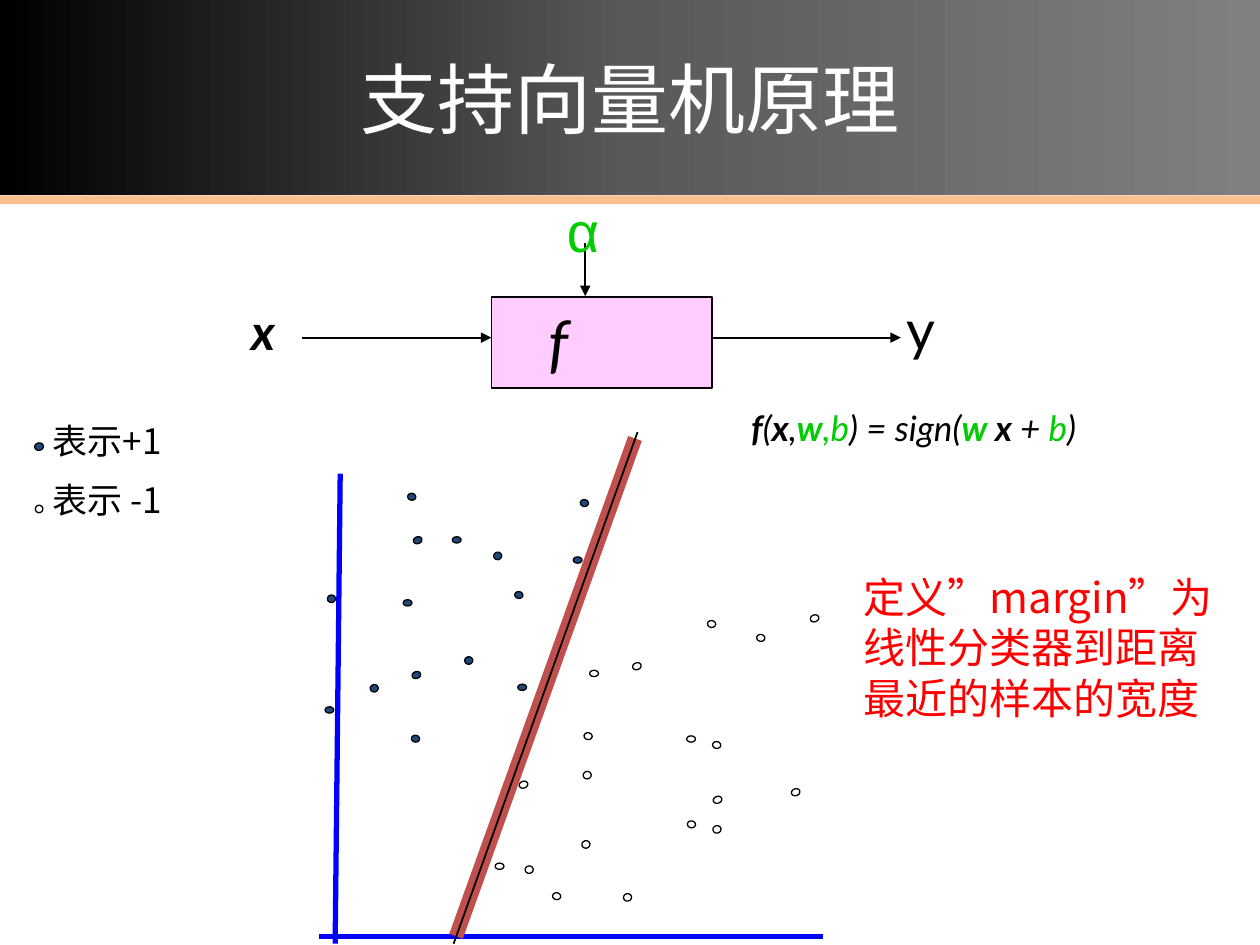
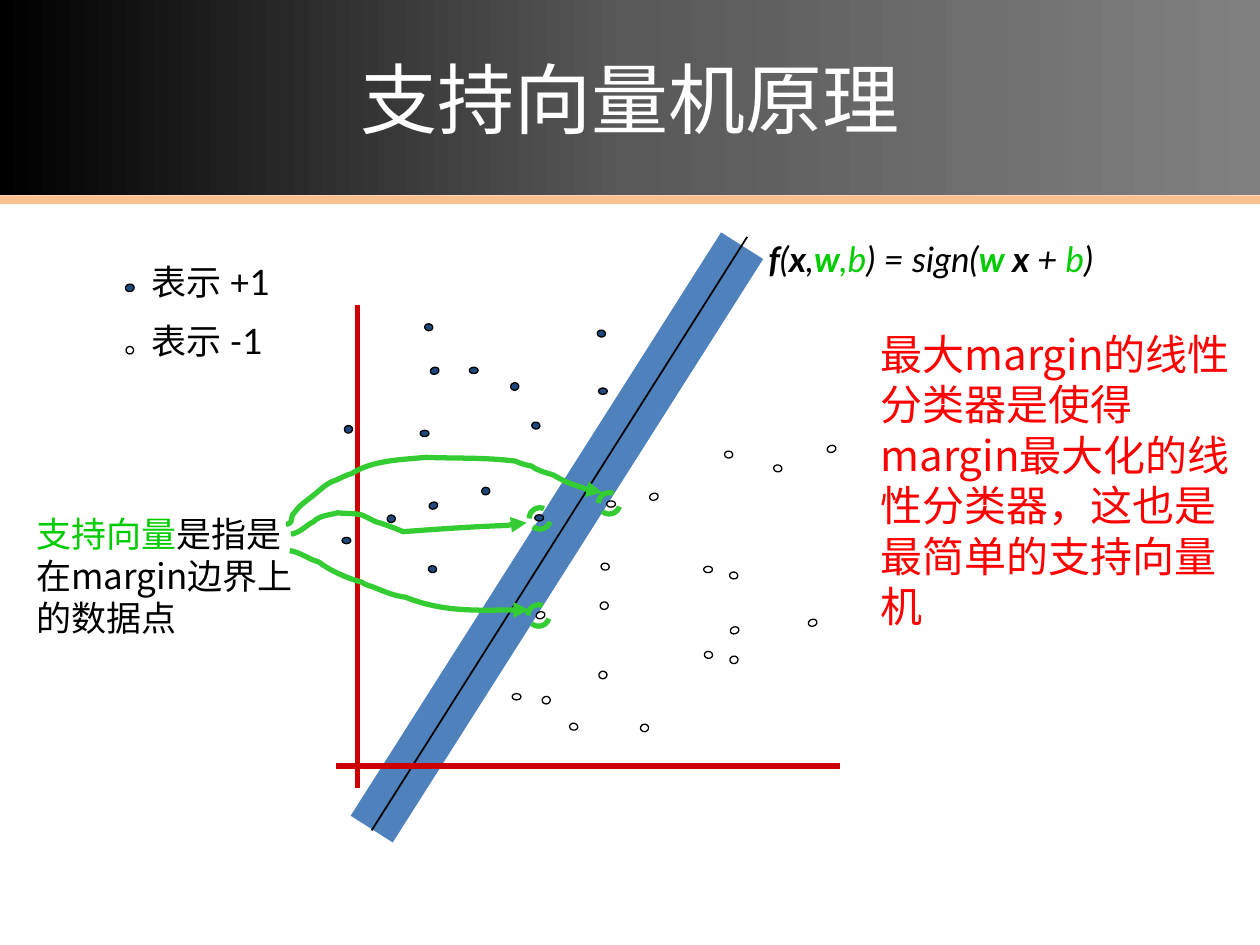
from lxml import etree
from pptx import Presentation
from pptx.dml.color import RGBColor
from pptx.enum.dml import MSO_LINE
from pptx.enum.shapes import MSO_CONNECTOR, MSO_SHAPE
from pptx.enum.text import MSO_ANCHOR, PP_ALIGN
from pptx.oxml.ns import qn
from pptx.util import Inches, Pt

COLORS = {
    "black": "000000", "dark": "595959", "gray": "808080", "white": "FFFFFF",
    "peach": "FAC090", "pink": "FFCCFF", "navy": "1F497D", "blue": "0000FF",
    "brick": "C0504D", "steel": "4F81BD", "crimson": "CC0000", "red": "FF0000",
    "green": "00CC00", "lime": "33CC33",
}
LATIN, CHINESE, GREEK = "Lato", "Noto Sans CJK SC", "Arial"
COLUMNS, ROWS = 100, 75
TITLE = "支持向量机原理"

SAMPLES = [
    (0, 0.7, 0.5,
     [(25.8, 56.1), (35.9, 42.6), (41.1, 54.3), (32, 47.6)],
     [(39.3, 68.5), (46.8, 53.2), (54.5, 58.4)]),
    (341.4, 0.7, 0.55,
     [(32.8, 42.6), (32.7, 53.3)],
     [(41.2, 62), (64.3, 48.8), (56.6, 63.2), (50.2, 52.6), (62.8, 62.6)]),
    (98.3, 0.55, 0.65,
     [(40.9, 46.9), (32.7, 58.3), (46.1, 39.6), (32.4, 39.1)],
     [(43.9, 70.8), (56.6, 58.8), (46.4, 58.1), (60.1, 50.3), (56.2, 49.2),
      (54.6, 65.1)]),
    (79.6, 0.6, 0.65,
     [(36.9, 52.1), (29.4, 54.3), (39.2, 43.8), (26, 47.2)],
     [(49.5, 70.9), (46.2, 66.7), (46.3, 61.2), (41.7, 68.7), (56.6, 65.5)]),
]

FORMULA = [
    ("f", {"bold": True}), ("(", {}), ("x", {"bold": True}), (",", {}),
    ("w", {"bold": True, "color": "green"}), (",b", {"color": "green"}),
    (") = sign(", {}), ("w", {"bold": True, "color": "green"}),
    (" x ", {"bold": True}), ("+ ", {}), ("b", {"color": "green"}), (")", {}),
]

SUPPORT_ARROWS = [
    [(23.1, 42.4),
     (23.8, 42.3), (24.3, 41.7), (24.9, 41.4),
     (25.4, 40.9), (26.1, 40.9), (26.8, 40.7),
     (27.7, 40.8), (28.1, 40.7), (28.8, 40.9),
     (28.8, 40.9), (29.8, 41.4), (29.8, 41.4),
     (30.5, 41.6), (31.3, 41.9), (32, 42.2),
     (34.7, 42), (37.5, 41.8), (40.3, 41.7),
     (40.8, 41.6), (41.3, 41.5), (41.8, 41.5)],
    [(22.7, 41.6),
     (22.8, 41.6), (23, 41.6), (23, 41.5),
     (23.2, 41.4), (23.1, 41.1), (23.2, 40.9),
     (23.3, 40.7), (23.5, 40.6), (23.6, 40.4),
     (23.8, 40.1), (24.8, 39.4), (24.9, 39.3),
     (25.5, 38.8), (26, 38.3), (26.7, 38.1),
     (27.1, 37.9), (27.5, 37.7), (27.9, 37.6),
     (29.6, 36.5), (31.9, 36.5), (33.8, 36.3),
     (36.2, 36.4), (38.5, 36.3), (40.9, 36.6),
     (41.3, 36.8), (41.7, 36.9), (42.2, 37),
     (42.7, 37.4), (43.3, 37.5), (43.9, 37.7),
     (44.6, 38.1), (45.2, 38.4), (45.9, 38.6),
     (46.5, 38.8), (47.2, 39.1), (47.8, 39.1)],
    [(23, 43.7),
     (23.8, 43.8), (24.5, 44.4), (25.3, 44.6),
     (26.2, 45.3), (27.6, 45.9), (28.7, 46.2),
     (29.1, 46.5), (29.5, 46.5), (29.9, 46.7),
     (30.6, 47), (31.4, 47.3), (32.2, 47.4),
     (35.2, 48.6), (38.8, 48.4), (42, 48.4)],
]
SUPPORT_POINTS = [(47.5, 39.1), (42, 40.3), (41.9, 48)]


def rgb(name):
    return RGBColor.from_string(COLORS[name])


def write(frame, *paragraphs, size=20, font=LATIN, color="black", bold=False,
          italic=False, align=PP_ALIGN.LEFT):
    frame.word_wrap = True
    for index, content in enumerate(paragraphs):
        paragraph = frame.paragraphs[0] if index == 0 else frame.add_paragraph()
        paragraph.alignment = align
        if index:
            paragraph.space_before = Pt(size / 2)
        pieces = [(content, {})] if isinstance(content, str) else content
        for words, change in pieces:
            run = paragraph.add_run()
            run.text = words
            run.font.size = Pt(size)
            run.font.name = font
            run.font.bold = change.get("bold", bold)
            run.font.italic = italic
            run.font.color.rgb = rgb(change.get("color", color))
            properties = run.font._element
            properties.set("lang", "zh-CN")
            east_asian = etree.SubElement(properties, qn("a:ea"))
            east_asian.set("typeface", CHINESE)


class Deck:
    def __init__(self):
        self.file = Presentation()
        self.file.slide_width, self.file.slide_height = Inches(10), Inches(7.5)
        self.slide = None

    def x(self, columns):
        return round(self.file.slide_width * columns / COLUMNS)

    def y(self, rows):
        return round(self.file.slide_height * rows / ROWS)

    def area(self, left, top, width, height):
        return self.x(left), self.y(top), self.x(width), self.y(height)

    def new_slide(self, title):
        self.slide = self.file.slides.add_slide(self.file.slide_layouts[6])
        self.shape(0, 15.5, 100, 0.7, fill="peach")
        band = self.shape(0, 0, 100, 15.5, fill="black")
        band.fill.gradient()
        band.fill.gradient_angle = 0
        stops = band.element.spPr.find(qn("a:gradFill")).find(qn("a:gsLst"))
        for stop in list(stops):
            stops.remove(stop)
        for position, name in ((0, "black"), (50, "dark"), (100, "gray")):
            stop = etree.SubElement(stops, qn("a:gs"), pos=str(position * 1000))
            etree.SubElement(stop, qn("a:srgbClr"), val=COLORS[name])
        band.text_frame.vertical_anchor = MSO_ANCHOR.MIDDLE
        write(band.text_frame, title, size=44, font=CHINESE, color="white",
              align=PP_ALIGN.CENTER)

    def shape(self, left, top, width, height, kind=MSO_SHAPE.RECTANGLE,
              fill=None, line=None, weight=1, dash=None, rotation=0):
        shape = self.slide.shapes.add_shape(kind, *self.area(left, top, width, height))
        shape.shadow.inherit = False
        shape.rotation = rotation
        if fill:
            shape.fill.solid()
            shape.fill.fore_color.rgb = rgb(fill)
        else:
            shape.fill.background()
        if line:
            self.stroke(shape, line, weight)
            shape.line.dash_style = dash
        else:
            shape.line.fill.background()
        return shape

    def stroke(self, shape, color, weight, arrow=False):
        shape.line.color.rgb = rgb(color)
        shape.line.width = Pt(weight)
        if arrow:
            outline = shape.element.spPr.find(qn("a:ln"))
            etree.SubElement(outline, qn("a:tailEnd"), type="triangle")

    def line(self, start, end, color="black", weight=1, arrow=False):
        line = self.slide.shapes.add_connector(
            MSO_CONNECTOR.STRAIGHT, self.x(start[0]), self.y(start[1]),
            self.x(end[0]), self.y(end[1]))
        self.stroke(line, color, weight, arrow)
        etree.SubElement(line.element.spPr, qn("a:effectLst"))

    def curve(self, knots, color, weight):
        start, *rest = [(self.x(x), self.y(y)) for x, y in knots]
        builder = self.slide.shapes.build_freeform(*start)
        builder.add_line_segments(rest, close=False)
        curve = builder.convert_to_shape()
        segments = list(curve.element.spPr.iter(qn("a:lnTo")))
        outline = segments[0].getparent()
        for first in range(0, len(segments), 3):
            bend = etree.SubElement(outline, qn("a:cubicBezTo"))
            for segment in segments[first:first + 3]:
                bend.append(segment[0])
                outline.remove(segment)
        curve.shadow.inherit = False
        curve.fill.background()
        self.stroke(curve, color, weight, arrow=True)

    def text(self, left, top, width, height, *paragraphs, **style):
        box = self.slide.shapes.add_textbox(*self.area(left, top, width, height))
        write(box.text_frame, *paragraphs, **style)

    def dot(self, left, top, width, height, fill, rotation):
        self.shape(left, top, width, height, MSO_SHAPE.OVAL, fill=fill,
                   line="black", weight=0.75, rotation=rotation)

    def legend(self, text_at, dots_at, *labels, font):
        self.text(*text_at, 20.8, 9.3, *labels, font=font)
        left, top = dots_at
        self.dot(left, top, 0.6, 0.7, "navy", 79.6)
        self.dot(left, top + 5, 0.6, 0.6, "white", 98.3)

    def samples(self, border_point, shift=(0, 0)):
        self.dot(*border_point, 0.7, 0.5, "navy", 0)
        for rotation, width, height, positive, negative in SAMPLES:
            for fill, places in (("navy", positive), ("white", negative)):
                for left, top in places:
                    self.dot(left + shift[0], top + shift[1], width, height,
                             fill, rotation)

    def formula(self, left, top):
        self.text(left, top, 35, 4.3, FORMULA, italic=True)


def margin_slide(deck):
    deck.new_slide(TITLE)
    classifier = deck.shape(39, 23.6, 17.5, 7.2, fill="pink", line="black")
    classifier.text_frame.margin_right = deck.x(7.8)
    classifier.text_frame.vertical_anchor = MSO_ANCHOR.TOP
    write(classifier.text_frame, "f", size=36, italic=True, align=PP_ALIGN.CENTER)
    deck.line((24, 26.8), (39, 26.8), arrow=True)
    deck.text(18.95, 23.45, 6.7, 5.7, "x", size=28, bold=True, italic=True)
    deck.line((46.45, 19.3), (46.45, 23.5), arrow=True)
    deck.text(44, 15.1, 4.2, 6.3, "α", size=32, font=GREEK, color="green")
    deck.line((56.5, 26.8), (71.5, 26.8), arrow=True)
    deck.text(70.95, 22.9, 9.2, 6.3, "y", size=32)

    deck.legend((3.2, 32.8), (2.8, 35.1), "表示+1", "表示 -1", font=CHINESE)
    deck.line((27, 37.6), (26.6, 74.9), "blue", 3)
    deck.line((25.3, 74.3), (65.3, 74.3), "blue", 3)
    deck.samples((45.5, 44.2))
    deck.formula(58.64, 31.8)
    deck.line((36.2, 74.3), (50.4, 34.8), "brick", 8.25)
    deck.line((36, 74.9), (50.6, 34.3))
    deck.text(67.55, 44.85, 30, 13.1, "定义”margin”为线性分类器到距离最近的样本的宽度",
              size=24, font=CHINESE, color="red")


def support_vector_slide(deck):
    deck.new_slide(TITLE)
    deck.line((29.5, 65.8), (58.9, 19.5), "steel", 28.5)
    deck.line((29.5, 65.9), (59.3, 18.8))
    deck.legend((11.05, 20.15), (10, 22.5), "表示 +1", "表示 -1", font=LATIN)
    deck.line((28.35, 24.2), (28.35, 62.5), "crimson", 3)
    deck.line((26.7, 60.8), (66.7, 60.8), "crimson", 3)
    deck.samples((47.5, 30.8), shift=(1.35, -13.45))
    deck.formula(60, 18.35)
    deck.text(1.9, 40.2, 23.2, 11.1,
              [("支持向量", {"color": "green"}), ("是指是在margin边界上的数据点", {})],
              font=CHINESE)
    for knots in SUPPORT_ARROWS:
        deck.curve(knots, "lime", 3)
    for left, top in SUPPORT_POINTS:
        deck.shape(left, top, 1.7, 1.7, MSO_SHAPE.OVAL, line="lime", weight=3,
                   dash=MSO_LINE.DASH)
    deck.text(68.9, 25.57, 30, 25.2,
              "最大margin的线性分类器是使得margin最大化的线性分类器，这也是最简单的支持向量机",
              size=24, font=CHINESE, color="red")


def main():
    deck = Deck()
    margin_slide(deck)
    support_vector_slide(deck)
    deck.file.save("out.pptx")


if __name__ == "__main__":
    main()
